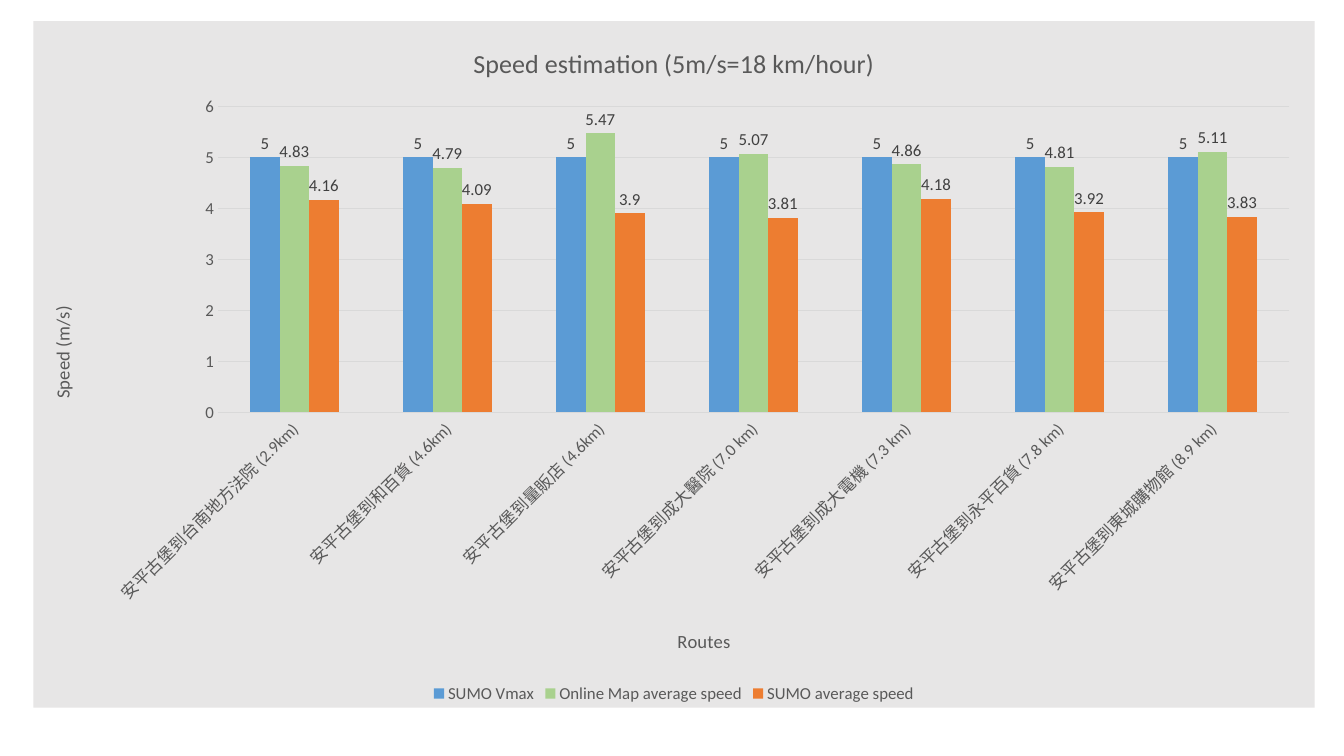
import pptx
import pptx.chart.data
import pptx.dml.color
import pptx.enum.chart
import pptx.oxml
import pptx.oxml.ns
import pptx.util

GREY_TEXT = "595959"
GREY_LINE = "D9D9D9"


def style_font(font, size, colour):
    font.name = "Calibri"
    font.size = pptx.util.Pt(size)
    font.bold = False
    font.color.rgb = pptx.dml.color.RGBColor.from_string(colour)


def place(parent, index, **shares):
    """Fix a chart part by shares of the chart's width and height."""
    for old_layout in parent.findall(pptx.oxml.ns.qn("c:layout")):
        parent.remove(old_layout)
    target = '<c:layoutTarget val="inner"/>' if "w" in shares else ""
    modes = "".join(f'<c:{key}Mode val="edge"/>' for key in "xy")
    values = "".join(f'<c:{key} val="{share}"/>' for key, share in shares.items())
    parent.insert(index, pptx.oxml.parse_xml(
        f'<c:layout {pptx.oxml.ns.nsdecls("c")}><c:manualLayout>'
        f"{target}{modes}{values}</c:manualLayout></c:layout>"))


presentation = pptx.Presentation()
presentation.slide_width = pptx.util.Inches(13.33)
presentation.slide_height = pptx.util.Inches(7.5)
slide = presentation.slides.add_slide(presentation.slide_layouts[6])

# Data
routes = [
    "安平古堡到台南地方法院 (2.9km)",
    "安平古堡到和百貨 (4.6km)",
    "安平古堡到量販店 (4.6km)",
    "安平古堡到成大醫院 (7.0 km)",
    "安平古堡到成大電機 (7.3 km)",
    "安平古堡到永平百貨 (7.8 km)",
    "安平古堡到東城購物館 (8.9 km)",
]
speeds = [
    ("SUMO Vmax", "5B9BD5", [5] * len(routes)),
    ("Online Map average speed", "A9D18E", [4.83, 4.79, 5.47, 5.07, 4.86, 4.81, 5.11]),
    ("SUMO average speed", "ED7D31", [4.16, 4.09, 3.9, 3.81, 4.18, 3.92, 3.83]),
]
chart_data = pptx.chart.data.CategoryChartData()
chart_data.categories = routes
for name, colour, values in speeds:
    chart_data.add_series(name, values)

# Chart
chart = slide.shapes.add_chart(
    pptx.enum.chart.XL_CHART_TYPE.COLUMN_CLUSTERED,
    pptx.util.Inches(0.33), pptx.util.Inches(0.21),
    pptx.util.Inches(12.71), pptx.util.Inches(6.81), chart_data).chart
style_font(chart.font, 10, "000000")
chart_space = chart.element
chart_space.find(pptx.oxml.ns.qn("c:chart")).addnext(pptx.oxml.parse_xml(
    f'<c:spPr {pptx.oxml.ns.nsdecls("c", "a")}><a:solidFill><a:srgbClr val="E7E6E6"/>'
    "</a:solidFill><a:ln><a:noFill/></a:ln></c:spPr>"))
plot_area = chart_space.find(".//" + pptx.oxml.ns.qn("c:plotArea"))
place(plot_area, 0, x=0.144, y=0.124, w=0.836, h=0.446)

# Columns and value labels
plot = chart.plots[0]
plot.gap_width = 219
plot.overlap = 0
plot.vary_by_categories = False
for series, (name, colour, values) in zip(plot.series, speeds):
    series.format.fill.solid()
    series.format.fill.fore_color.rgb = pptx.dml.color.RGBColor.from_string(colour)
    labels = series.data_labels
    labels.show_value = True
    labels.position = pptx.enum.chart.XL_LABEL_POSITION.OUTSIDE_END
    style_font(labels.font, 12, "404040")

# Axes
category_axis, value_axis = chart.category_axis, chart.value_axis
for axis in (category_axis, value_axis):
    axis.major_tick_mark = pptx.enum.chart.XL_TICK_MARK.NONE
    axis.minor_tick_mark = pptx.enum.chart.XL_TICK_MARK.NONE
    style_font(axis.tick_labels.font, 12, GREY_TEXT)
value_axis.minimum_scale = 0
value_axis.maximum_scale = 6
value_axis.major_unit = 1
value_axis.format.line.fill.background()
for line in (category_axis.format.line, value_axis.major_gridlines.format.line):
    line.width = pptx.util.Pt(0.75)
    line.color.rgb = pptx.dml.color.RGBColor.from_string(GREY_LINE)
label_body = category_axis.tick_labels.font._element.getparent().getparent().getparent()
label_body.find(pptx.oxml.ns.qn("a:bodyPr")).set("rot", str(-45 * 60000))

# Titles
for owner, title, size in (
    (chart, "Speed estimation (5m/s=18 km/hour)", 18.6),
    (category_axis, "Routes", 13.3),
    (value_axis, "Speed (m/s)", 13.3),
):
    owner.has_title = True
    title_object = owner.chart_title if owner is chart else owner.axis_title
    title_object.text_frame.text = title
    style_font(title_object.text_frame.paragraphs[0].runs[0].font, size, GREY_TEXT)
value_axis.axis_title.text_frame._txBody.bodyPr.set("rot", str(-90 * 60000))
place(category_axis.axis_title._element, 1, x=0.5, y=0.88)
place(value_axis.axis_title._element, 1, x=0.01, y=0.41)

# Legend
chart.has_legend = True
chart.legend.position = pptx.enum.chart.XL_LEGEND_POSITION.BOTTOM
chart.legend.include_in_layout = False
style_font(chart.legend.font, 12, GREY_TEXT)

presentation.save("out.pptx")
